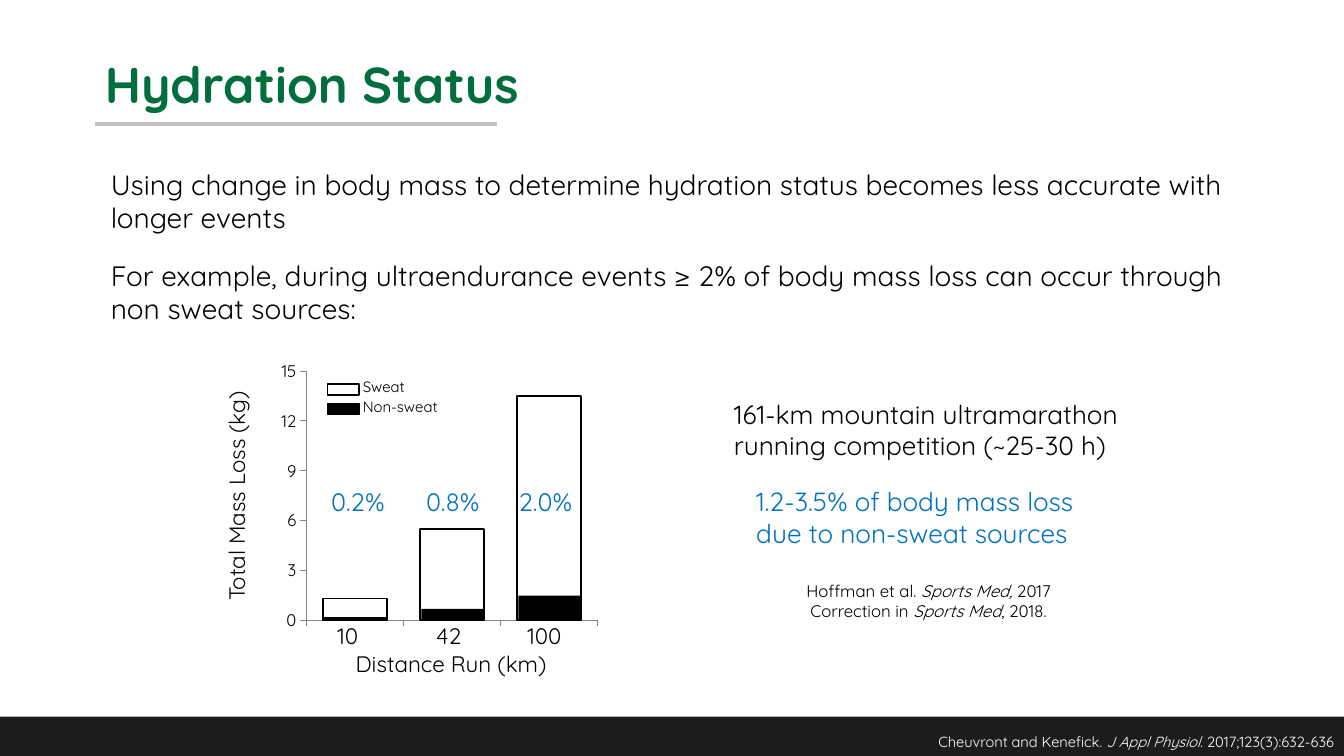
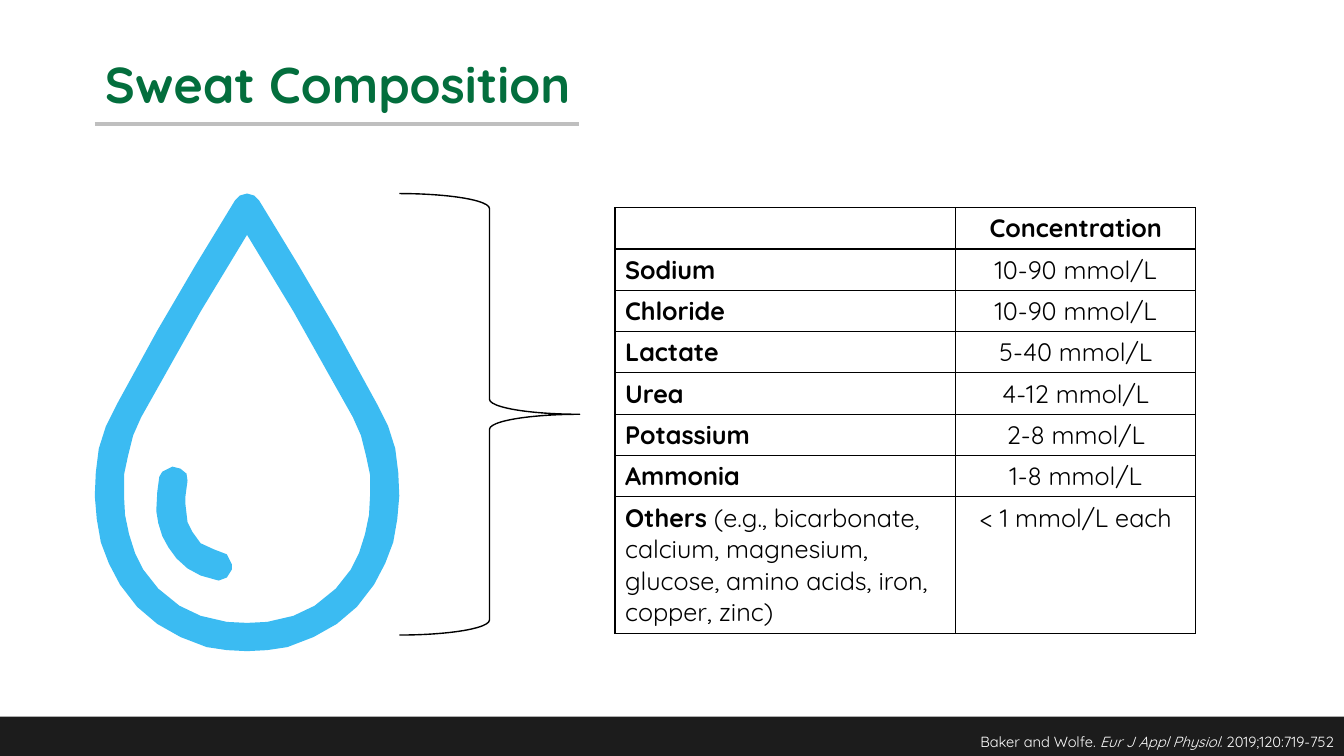
from lxml import etree
from pptx import Presentation
from pptx.chart.data import CategoryChartData
from pptx.dml.color import RGBColor
from pptx.enum import chart, shapes, text
from pptx.oxml.ns import qn
from pptx.util import Inches, Pt

FONT = "Quicksand"
GREEN, BLACK, WHITE, BAND = "036E3D", "000000", "FFFFFF", "1C1C1C"
RULE, AXIS, BLUE, DROP = "BFBFBF", "868686", "0070C0", "3BBBF2"
LEFT, CENTER, RIGHT = text.PP_ALIGN.LEFT, text.PP_ALIGN.CENTER, text.PP_ALIGN.RIGHT
WIDTH, HEIGHT, MARGIN, BAND_TOP = 13.33, 7.5, 0.94, 7.11

# Asterisks enclose the emphasised part of a text.
BODY = [
    "Using change in body mass to determine hydration status becomes less accurate with longer events",
    "For example, during ultraendurance events ≥ 2% of body mass loss can occur through non sweat sources:",
]
STUDY = "161-km mountain ultramarathon running competition (~25-30 h)"
FINDING = "1.2-3.5% of body mass loss due to non-sweat sources"
STUDY_SOURCE = ["Hoffman et al. *Sports Med, *2017", "Correction in *Sports Med*, 2018."]

TOTAL_LOSS = [1.3, 5.5, 13.5]
# distance, centre of its label, share of non-sweat loss, centre of the share
DISTANCES = [("10", 3.45, "0.2%", 3.55), ("42", 4.45, "0.8%", 4.49), ("100", 5.4, "2.0%", 5.41)]
NON_SWEAT_BARS = [(4.18, 6.04, 0.11), (5.14, 5.91, 0.23)]  # left, top, height
LEGEND = [("Sweat", WHITE), ("Non-sweat", BLACK)]

CONCENTRATIONS = [
    ("", "*Concentration*"),
    ("*Sodium*", "10-90 mmol/L"),
    ("*Chloride*", "10-90 mmol/L"),
    ("*Lactate*", "5-40 mmol/L"),
    ("*Urea*", "4-12 mmol/L"),
    ("*Potassium*", "2-8 mmol/L"),
    ("*Ammonia*", "1-8 mmol/L"),
    ("*Others* (e.g., bicarbonate, calcium, magnesium, glucose, amino acids, iron, copper, zinc)",
     "< 1 mmol/L each"),
]

# Right halves of the drop, from tip to base
DROP_AXIS = 2.45
DROP_OUTER = [
    (2.45, 1.92), (2.52, 1.94), (2.57, 1.99), (2.96, 2.63), (3.34, 3.28), (3.74, 4.01),
    (3.85, 4.23), (3.92, 4.45), (3.95, 4.69), (3.96, 4.92), (3.94, 5.15), (3.9, 5.38),
    (3.82, 5.59), (3.71, 5.8), (3.54, 6.02), (3.34, 6.19), (3.11, 6.32), (2.85, 6.42),
    (2.65, 6.45), (2.45, 6.46)]
DROP_INNER = [
    (2.45, 2.33), (2.91, 3.09), (3.5, 4.14), (3.58, 4.32), (3.63, 4.52), (3.67, 4.71),
    (3.67, 4.92), (3.66, 5.11), (3.62, 5.3), (3.56, 5.49), (3.48, 5.65), (3.33, 5.84),
    (3.12, 6.01), (2.91, 6.11), (2.65, 6.17), (2.45, 6.18)]
GLINT = [
    (2.13, 5.75), (2.17, 5.76), (2.25, 5.73), (2.3, 5.65), (2.3, 5.6), (2.25, 5.5),
    (2.12, 5.45), (1.99, 5.39), (1.91, 5.28), (1.86, 5.18), (1.84, 5.01), (1.84, 4.92),
    (1.86, 4.77), (1.85, 4.7), (1.79, 4.65), (1.71, 4.63), (1.61, 4.68), (1.58, 4.73),
    (1.56, 4.88), (1.55, 5.07), (1.57, 5.19), (1.61, 5.32), (1.67, 5.43), (1.75, 5.54),
    (1.86, 5.64), (1.99, 5.71)]


def rgb(value):
    return RGBColor.from_string(value)


def style_font(font, size, color=BLACK):
    font.name, font.size = FONT, Pt(size)
    font.color.rgb = rgb(color)


def write(tf, lines, size, color=BLACK, align=LEFT, emphasis="italic", gap=0):
    """Fill a text frame, one paragraph a line, emphasising parts between asterisks."""
    lines = [lines] if isinstance(lines, str) else lines
    for i, line in enumerate(lines):
        p = tf.paragraphs[0] if i == 0 else tf.add_paragraph()
        p.alignment = align
        if i and gap:
            p.space_before = Pt(gap)
        for j, part in enumerate(line.split("*")):
            if part:
                r = p.add_run()
                r.text = part
                style_font(r.font, size, color)
                setattr(r.font, emphasis, j % 2 == 1)


def add_text(slide, box, lines, size, **options):
    sp = slide.shapes.add_textbox(*map(Inches, box))
    sp.text_frame.word_wrap = True
    write(sp.text_frame, lines, size, **options)
    return sp


def paint(sp, fill=None, line=None, width=1):
    sp.shadow.inherit = False
    if fill:
        sp.fill.solid()
        sp.fill.fore_color.rgb = rgb(fill)
    else:
        sp.fill.background()
    if line:
        sp.line.color.rgb = rgb(line)
        sp.line.width = Pt(width)
    else:
        sp.line.fill.background()


def add_shape(slide, box, kind=shapes.MSO_SHAPE.RECTANGLE, **look):
    sp = slide.shapes.add_shape(kind, *map(Inches, box))
    paint(sp, **look)
    return sp


def add_level_line(slide, left, right, y, color, width):
    line = slide.shapes.add_connector(
        shapes.MSO_CONNECTOR.STRAIGHT, *map(Inches, (left, y, right, y)))
    line.line.color.rgb = rgb(color)
    line.line.width = Pt(width)
    etree.SubElement(line._element.spPr, qn("a:effectLst"))


def add_outline(slide, contours, fill):
    """Draw closed contours as one shape; a contour inside another is a hole."""
    first, *rest = [[(Inches(x), Inches(y)) for x, y in c] for c in contours]
    builder = slide.shapes.build_freeform(*first[0], scale=1.0)
    builder.add_line_segments(first[1:], close=True)
    for contour in rest:
        builder.move_to(*contour[0])
        builder.add_line_segments(contour[1:], close=True)
    paint(builder.convert_to_shape(), fill)


def mirrored(half):
    return half + [(2 * DROP_AXIS - x, y) for x, y in half[-2:0:-1]]


def new_slide(prs, title, rule_end, citation):
    slide = prs.slides.add_slide(prs.slide_layouts[5])
    add_shape(slide, (0, BAND_TOP, WIDTH, HEIGHT - BAND_TOP), fill=BAND)
    sp = slide.shapes.title
    sp.left, sp.top, sp.width, sp.height = map(Inches, (MARGIN, 0.59, 11.47, 0.93))
    tf = sp.text_frame
    tf.auto_size = text.MSO_AUTO_SIZE.NONE
    tf.vertical_anchor = text.MSO_ANCHOR.TOP
    write(tf, f"*{title}*", 36, GREEN, emphasis="bold")
    tf.paragraphs[0].line_spacing = 0.8
    add_level_line(slide, MARGIN, rule_end, 1.23, RULE, 3)
    add_text(slide, (WIDTH - 5, 7.22, 5, 0.28), citation, 10.5, color=WHITE, align=RIGHT)
    return slide


def add_loss_chart(slide):
    data = CategoryChartData()
    data.categories = ["1", "2", "3"]
    data.add_series("Series 1", TOTAL_LOSS)
    ch = slide.shapes.add_chart(chart.XL_CHART_TYPE.COLUMN_CLUSTERED,
                                *map(Inches, (2.48, 3.41, 3.65, 2.96)), data).chart
    ch.has_legend = ch.has_title = False
    style_font(ch.font, 10)
    plot = ch.plots[0]
    plot.gap_width, plot.vary_by_categories = 51, False
    bars = plot.series[0].format
    bars.fill.solid()
    bars.fill.fore_color.rgb = rgb(WHITE)
    bars.line.color.rgb = rgb(BLACK)
    bars.line.width = Pt(1.25)
    for axis in (ch.category_axis, ch.value_axis):
        axis.has_major_gridlines = False
        axis.major_tick_mark = chart.XL_TICK_MARK.OUTSIDE
        axis.format.line.color.rgb = rgb(AXIS)
    ch.category_axis.tick_label_position = chart.XL_TICK_LABEL_POSITION.NONE
    values = ch.value_axis
    values.minimum_scale, values.maximum_scale, values.major_unit = 0, 15, 3
    style_font(values.tick_labels.font, 12)

    area = ch._chartSpace.chart.plotArea
    for old in area.findall(qn("c:layout")):
        area.remove(old)
    layout = etree.Element(qn("c:layout"))
    manual = etree.SubElement(layout, qn("c:manualLayout"))
    for tag, value in [("layoutTarget", "inner"), ("xMode", "edge"), ("yMode", "edge"),
                       ("x", 0.153), ("y", 0.092), ("w", 0.791), ("h", 0.835)]:
        etree.SubElement(manual, qn("c:" + tag)).set("val", str(value))
    area.insert(0, layout)


def add_hydration_slide(prs):
    slide = new_slide(prs, "Hydration Status", 4.93,
                      "Cheuvront and Kenefick. *J Appl Physiol. *2017;123(3):632-636")
    add_text(slide, (1, 1.61, 11.42, 2.02), BODY, 20, gap=17)
    add_loss_chart(slide)
    for left, top, height in NON_SWEAT_BARS:
        add_shape(slide, (left, top, 0.62, height), fill=BLACK)
    add_level_line(slide, 3.19, 3.84, 6.13, BLACK, 1)
    for i, (name, fill) in enumerate(LEGEND):
        y = 3.7 + 0.19 * i
        add_shape(slide, (3.25, y + 0.11, 0.31, 0.11), fill=fill, line=BLACK)
        add_text(slide, (3.5, y, 1.34, 0.28), name, 10.7)
    for distance, x, share, share_x in DISTANCES:
        add_text(slide, (x - 0.4, 6.12, 0.8, 0.37), distance, 16, align=CENTER)
        add_text(slide, (share_x - 0.45, 4.78, 0.9, 0.42), share, 18, color=BLUE, align=CENTER)
    add_text(slide, (3.21, 6.4, 2.53, 0.37), "Distance Run (km)", 16, align=CENTER)
    add_text(slide, (1.16, 4.69, 2.37, 0.37), "Total Mass Loss (kg)", 16).rotation = 270
    add_text(slide, (7.18, 3.9, 4.51, 0.73), STUDY, 18.7)
    add_text(slide, (7.4, 4.77, 3.55, 0.73), FINDING, 18.7, color=BLUE)
    add_text(slide, (6.73, 5.71, 4.96, 0.5), STUDY_SOURCE, 12, align=CENTER)


def add_borders(cell, color, width):
    tc_pr = cell._tc.get_or_add_tcPr()
    for side in ("lnL", "lnR", "lnT", "lnB"):
        ln = etree.SubElement(tc_pr, qn("a:" + side), w=str(Pt(width)))
        fill = etree.SubElement(ln, qn("a:solidFill"))
        etree.SubElement(fill, qn("a:srgbClr"), val=color)


def add_concentration_table(slide):
    heights = [0.41] * (len(CONCENTRATIONS) - 1) + [1.36]
    table = slide.shapes.add_table(
        len(heights), 2, *map(Inches, (6.1, 2.06, 5.76, sum(heights)))).table
    table.first_row = table.horz_banding = False
    for column, width in zip(table.columns, (3.38, 2.38)):
        column.width = Inches(width)
    for row, height, content in zip(table.rows, heights, CONCENTRATIONS):
        row.height = Inches(height)
        for cell, line, align in zip(row.cells, content, (LEFT, CENTER)):
            write(cell.text_frame, line, 18, align=align, emphasis="bold")
            add_borders(cell, BLACK, 1)
            cell.fill.background()


def add_sweat_slide(prs):
    slide = new_slide(prs, "Sweat Composition", 5.74,
                      "Baker and Wolfe. *Eur J Appl Physiol.* 2019;120:719-752")
    add_outline(slide, [mirrored(DROP_OUTER), mirrored(DROP_INNER)[::-1]], DROP)
    add_outline(slide, [GLINT], DROP)
    add_shape(slide, (3.96, 1.92, 1.79, 4.38), shapes.MSO_SHAPE.RIGHT_BRACE, line=BLACK)
    add_concentration_table(slide)


def main():
    prs = Presentation()
    prs.slide_width, prs.slide_height = Inches(WIDTH), Inches(HEIGHT)
    add_hydration_slide(prs)
    add_sweat_slide(prs)
    prs.save("out.pptx")


if __name__ == "__main__":
    main()
